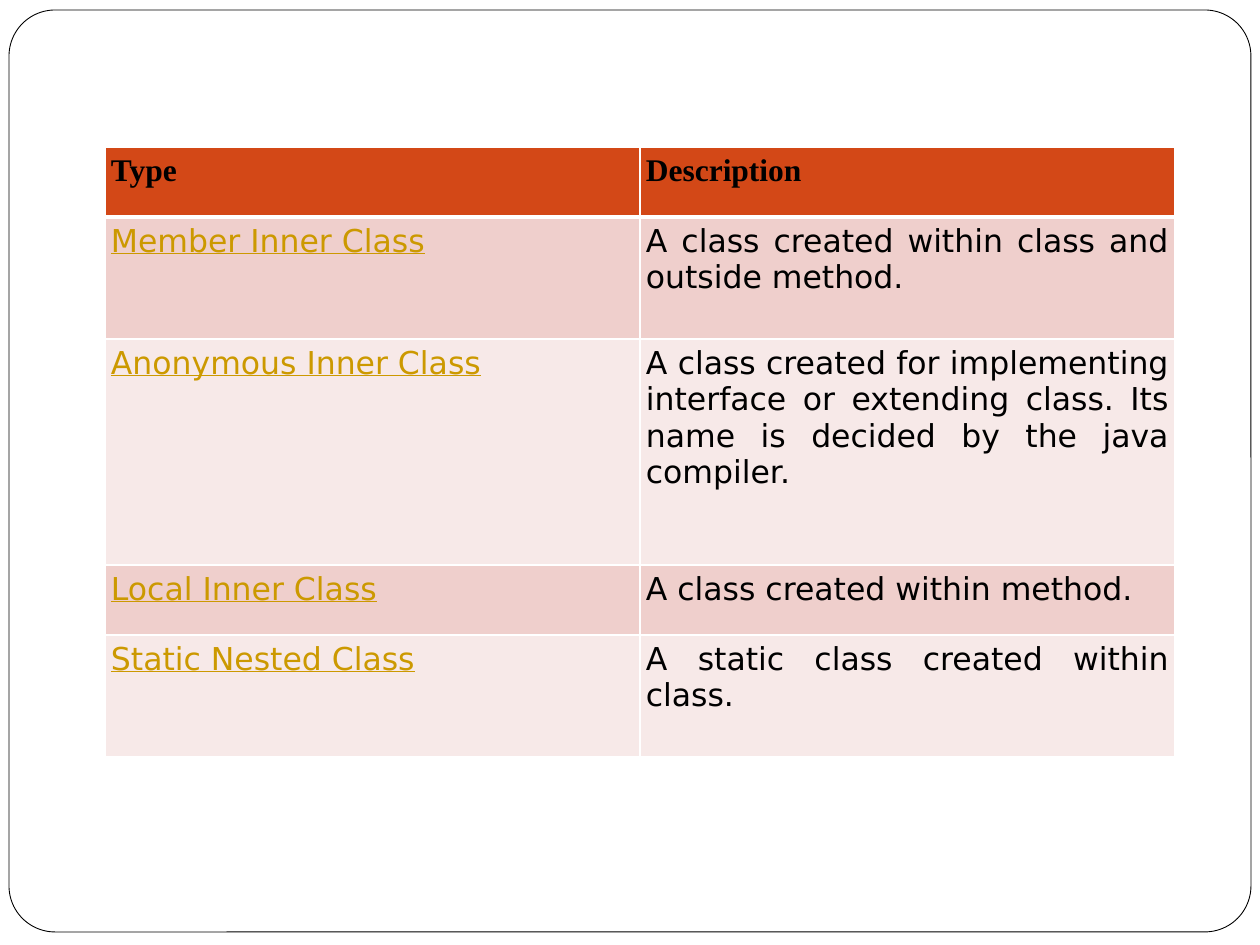
from lxml import etree
from pptx import Presentation
from pptx.dml.color import RGBColor
from pptx.enum.shapes import MSO_SHAPE
from pptx.enum.text import PP_ALIGN
from pptx.oxml.ns import qn
from pptx.util import Pt

EMU_PER_PX = 914400 / 126
SLIDE_WIDTH, SLIDE_HEIGHT = 1260, 945
BLANK_LAYOUT = 6

ROUNDED = MSO_SHAPE.ROUNDED_RECTANGLE
LEFT, JUSTIFY = PP_ALIGN.LEFT, PP_ALIGN.JUSTIFY

WHITE = RGBColor(0xFF, 0xFF, 0xFF)
BLACK = RGBColor(0x00, 0x00, 0x00)
HEADER_FILL = RGBColor(0xD3, 0x48, 0x17)
BAND_FILLS = (RGBColor(0xEF, 0xCF, 0xCC), RGBColor(0xF7, 0xE9, 0xE8))
LINK_GOLD = RGBColor(0xCC, 0x99, 0x00)

HEADER_FONT, BODY_FONT = "Times New Roman", "DejaVu Sans"

HEADINGS = ("Type", "Description")
CLASS_TYPES = (
    ("Member Inner Class", "A class created within class and outside method."),
    ("Anonymous Inner Class",
     "A class created for implementing interface or extending class. "
     "Its name is decided by the java compiler."),
    ("Local Inner Class", "A class created within method."),
    ("Static Nested Class", "A static class created within class."),
)
ROW_HEIGHTS = (70, 122, 226, 70, 122)


def px(length):
    return round(length * EMU_PER_PX)


def write_text(frame, text, font=BODY_FONT, size=18, color=BLACK,
               bold=False, underline=False, align=JUSTIFY):
    para = frame.paragraphs[0]
    para.alignment = align
    span = para.add_run()
    span.text = text
    span.font.name = font
    span.font.size = Pt(size)
    span.font.color.rgb = color
    span.font.bold = bold
    span.font.underline = underline


def set_borders(cell, top=1, bottom=1):
    """Draw white cell borders; widths are in points."""
    properties = cell._tc.get_or_add_tcPr()
    for side, width in (("L", 1), ("R", 1), ("T", top), ("B", bottom)):
        line = etree.SubElement(properties, qn(f"a:ln{side}"), w=str(Pt(width)))
        fill = etree.SubElement(line, qn("a:solidFill"))
        etree.SubElement(fill, qn("a:srgbClr"), val=str(WHITE))


def style_cell(cell, fill, top=1, bottom=1):
    cell.margin_left = cell.margin_right = px(6)
    cell.margin_top = cell.margin_bottom = px(6)
    set_borders(cell, top, bottom)
    cell.fill.solid()
    cell.fill.fore_color.rgb = fill


def add_frame(page, left, top, width, height):
    frame = page.shapes.add_shape(ROUNDED, px(left), px(top), px(width), px(height))
    frame.adjustments[0] = 0.05
    frame.shadow.inherit = False
    frame.fill.solid()
    frame.fill.fore_color.rgb = WHITE
    frame.line.color.rgb = BLACK
    frame.line.width = Pt(0.5)


def add_class_table(page, left, top, width):
    table = page.shapes.add_table(
        len(ROW_HEIGHTS), len(HEADINGS),
        px(left), px(top), px(width), px(sum(ROW_HEIGHTS))).table
    for row, height in zip(table.rows, ROW_HEIGHTS):
        row.height = px(height)

    for column, heading in enumerate(HEADINGS):
        cell = table.cell(0, column)
        style_cell(cell, HEADER_FILL, bottom=3)
        write_text(cell.text_frame, heading, font=HEADER_FONT, bold=True, align=LEFT)

    for row, texts in enumerate(CLASS_TYPES, start=1):
        for column, text in enumerate(texts):
            cell = table.cell(row, column)
            style_cell(cell, BAND_FILLS[(row - 1) % 2], top=3 if row == 1 else 1)
            is_name = column == 0
            write_text(cell.text_frame, text, underline=is_name,
                       color=LINK_GOLD if is_name else BLACK)


def main():
    deck = Presentation()
    deck.slide_width, deck.slide_height = px(SLIDE_WIDTH), px(SLIDE_HEIGHT)
    page = deck.slides.add_slide(deck.slide_layouts[BLANK_LAYOUT])
    add_frame(page, 9, 10, 1242, 922)
    add_class_table(page, 105, 147, 1070)
    deck.save("out.pptx")


if __name__ == "__main__":
    main()
